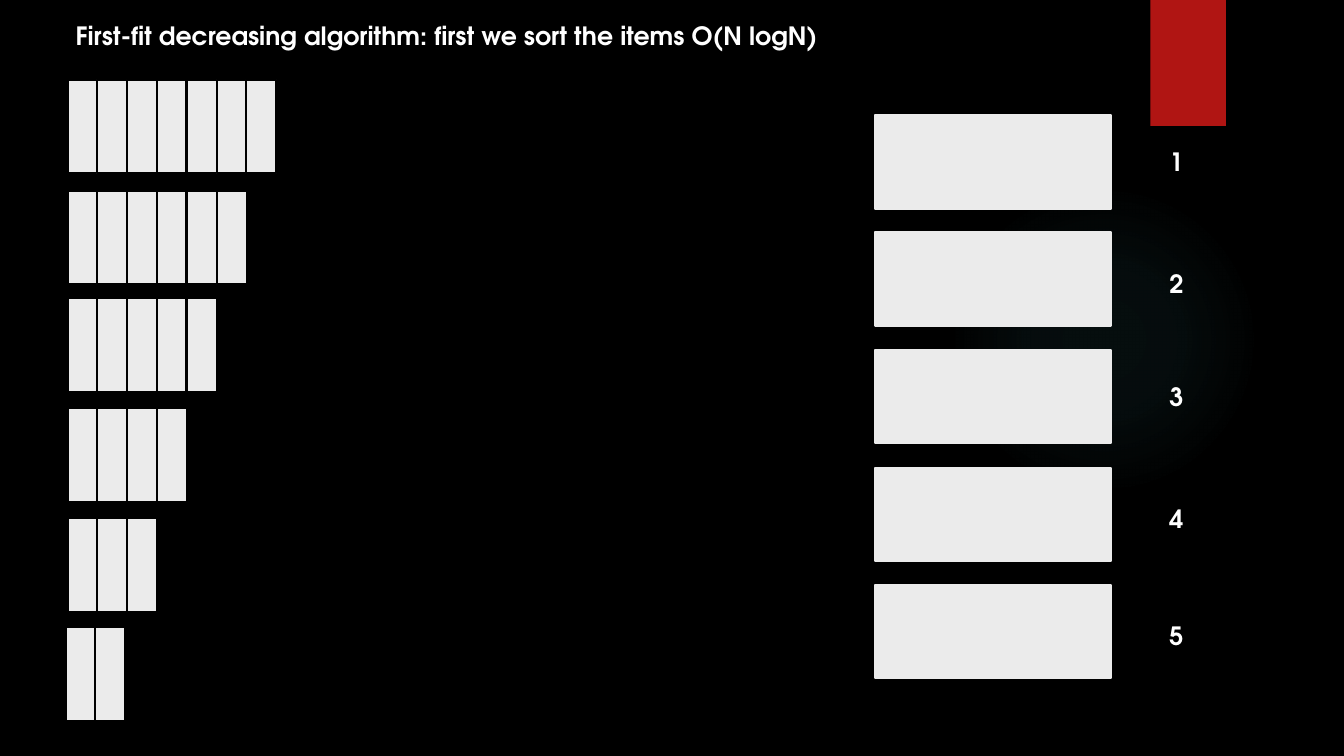
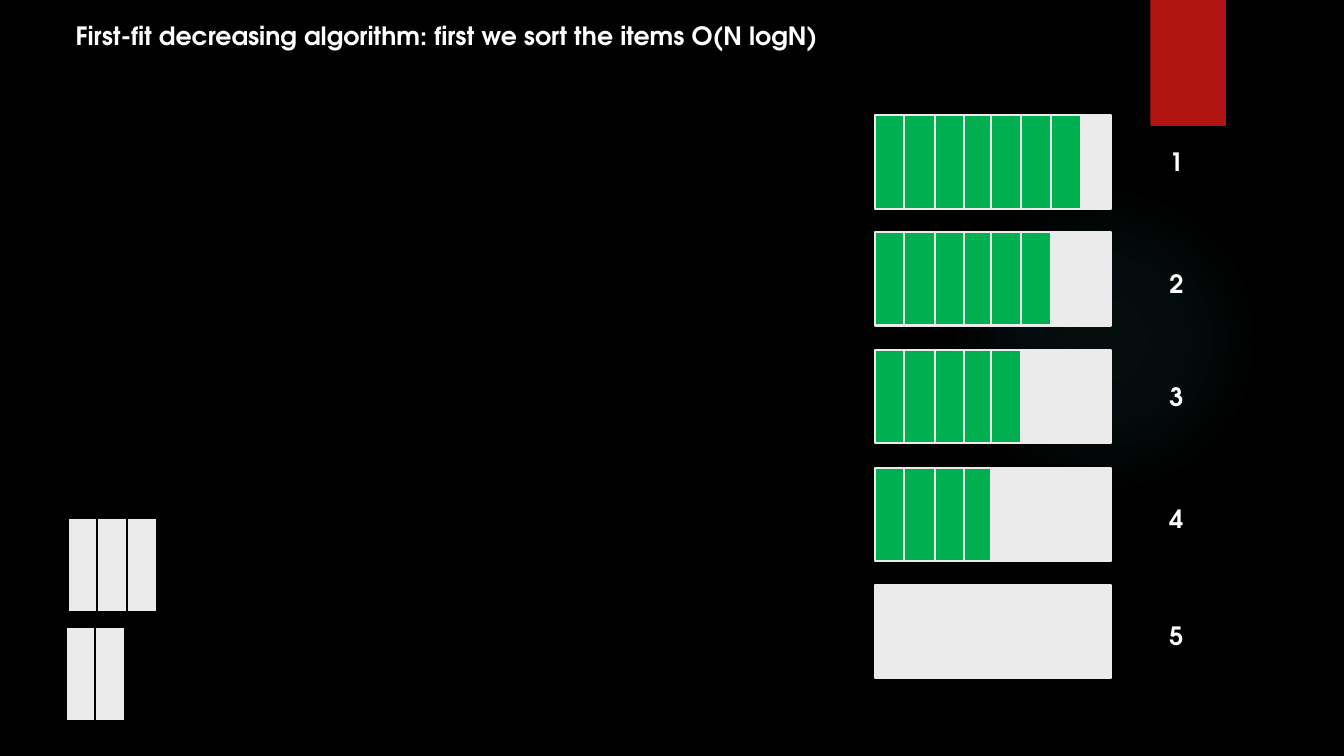
"""Build two slides that show first-fit decreasing bin packing."""
from pptx import Presentation
from pptx.dml.color import RGBColor
from pptx.enum.shapes import MSO_SHAPE
from pptx.enum.text import MSO_ANCHOR, MSO_AUTO_SIZE, PP_ALIGN
from pptx.oxml import parse_xml
from pptx.oxml.ns import nsdecls, qn
from pptx.util import Inches, Pt

BLACK = RGBColor(0x00, 0x00, 0x00)
WHITE = RGBColor(0xFF, 0xFF, 0xFF)
GRAY = RGBColor(0xEB, 0xEB, 0xEB)
GREEN = RGBColor(0x00, 0xB0, 0x50)
RED = RGBColor(0xB0, 0x15, 0x13)
TEAL = RGBColor(0x50, 0xB9, 0xC1)
FONT = "TeX Gyre Adventor"
TITLE = "First-fit decreasing algorithm: first we sort the items O(N logN)"

SIZES = (7, 6, 5, 4, 3, 2)
ITEM_TOPS = (0.79, 1.89, 2.96, 4.05, 5.14, 6.22)
ITEM_COLS = (0.67, 0.96, 1.26, 1.56, 1.85, 2.15, 2.44)
BIN_TOPS = (1.14, 2.3, 3.47, 4.64, 5.8)
BIN_COLS = (8.68, 8.97, 9.27, 9.56, 9.83, 10.13, 10.42, 10.72)
LABEL_TOPS = (1.4, 2.61, 3.73, 4.94, 6.11)


def add_box(slide, left, top, fill, line):
    box = slide.shapes.add_shape(
        MSO_SHAPE.RECTANGLE, Inches(left), Inches(top), Inches(0.3), Inches(0.93))
    box.shadow.inherit = False
    box.fill.solid()
    box.fill.fore_color.rgb = fill
    box.line.color.rgb = line
    box.line.width = Pt(1.5)


def set_text(shape, text):
    frame = shape.text_frame
    frame.text = text
    frame.word_wrap = False
    frame.auto_size = MSO_AUTO_SIZE.SHAPE_TO_FIT_TEXT
    frame.vertical_anchor = MSO_ANCHOR.TOP
    para = frame.paragraphs[0]
    para.alignment = PP_ALIGN.LEFT
    para.font.name = FONT
    para.font.size = Pt(18)
    para.font.bold = True
    para.font.color.rgb = WHITE


deck = Presentation()
deck.slide_width = Inches(13.33)
deck.slide_height = Inches(7.5)
master = deck.slide_master
master.background.fill.solid()
master.background.fill.fore_color.rgb = BLACK
layout = deck.slide_layouts[5]
slides = [deck.slides.add_slide(layout) for _ in range(2)]

shapes = slides[0].shapes
glow = shapes.add_shape(
    MSO_SHAPE.OVAL, Inches(9.41), Inches(1.83), Inches(3.08), Inches(3.08))
band = shapes.add_shape(
    MSO_SHAPE.RECTANGLE, Inches(11.41), 0, Inches(0.75), Inches(1.25))
band.fill.solid()
band.fill.fore_color.rgb = RED
stops = "".join(
    f'<a:gs pos="{pos * 1000}"><a:srgbClr val="{TEAL}">'
    f'<a:alpha val="{alpha * 1000}"/></a:srgbClr></a:gs>'
    for pos, alpha in ((0, 7), (36, 6), (69, 0)))
glow.element.spPr.find(qn("a:prstGeom")).addnext(parse_xml(
    f'<a:gradFill {nsdecls("a")}><a:gsLst>{stops}</a:gsLst><a:path path="circle">'
    '<a:fillToRect l="50000" t="50000" r="50000" b="50000"/></a:path></a:gradFill>'))

first = master.shapes[0].element
for num, shape in enumerate((glow, band), 90):
    shape.shadow.inherit = False
    shape.line.fill.background()
    shape.element.nvSpPr.cNvPr.id = num
    first.addprevious(shape.element)
band.element.spPr.find(qn("a:effectLst")).append(parse_xml(
    f'<a:outerShdw {nsdecls("a")} blurRad="{Pt(3)}" dist="{Pt(2)}" dir="5400000">'
    f'<a:srgbClr val="{BLACK}"><a:alpha val="45000"/></a:srgbClr></a:outerShdw>'))

for slide, packed in zip(slides, (0, 4)):
    title = slide.shapes.title
    title.left, title.top = Inches(0.65), Inches(0.15)
    title.width, title.height = Inches(7.6), Inches(0.4)
    set_text(title, TITLE)

    for size, top in list(zip(SIZES, ITEM_TOPS))[packed:]:
        shift = 0.02 if size == 2 else 0
        for left in ITEM_COLS[:size]:
            add_box(slide, left - shift, top, GRAY, BLACK)

    for row, top in enumerate(BIN_TOPS):
        used = SIZES[row] if row < packed else 0
        for col, left in enumerate(BIN_COLS):
            add_box(slide, left, top, GREEN if col < used else GRAY, GRAY)

    for num, top in enumerate(LABEL_TOPS, 1):
        label = slide.shapes.add_textbox(
            Inches(11.5), Inches(top), Inches(0.34), Inches(0.4))
        set_text(label, str(num))

deck.save("out.pptx")
